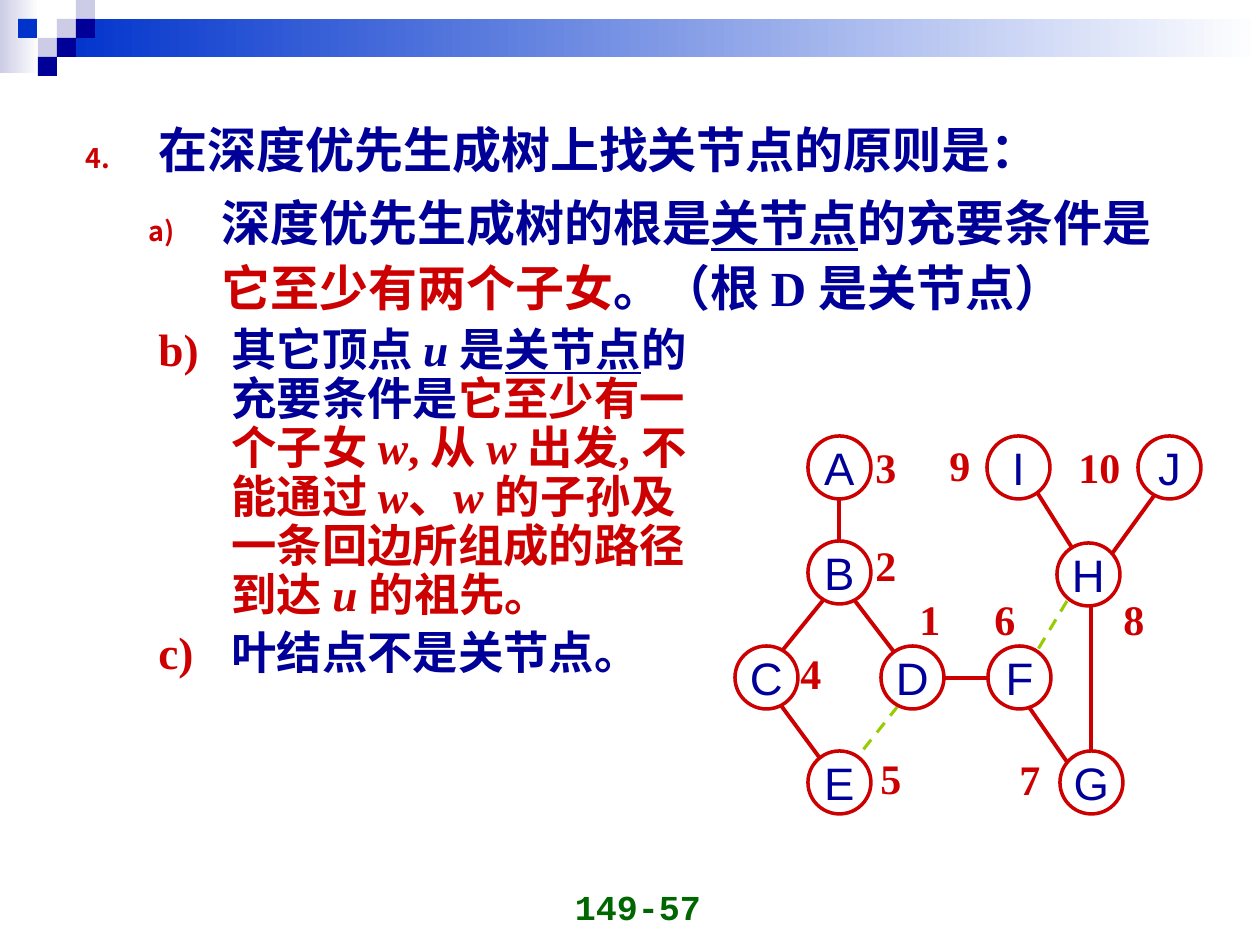
"""Build the slide on finding articulation points in a depth-first tree."""
from lxml import etree
from pptx import Presentation
from pptx.dml.color import RGBColor
from pptx.enum.dml import MSO_LINE
from pptx.enum.shapes import MSO_CONNECTOR, MSO_SHAPE
from pptx.enum.text import MSO_ANCHOR, MSO_AUTO_SIZE, PP_ALIGN
from pptx.oxml.ns import qn
from pptx.util import Pt

RECT, OVAL = MSO_SHAPE.RECTANGLE, MSO_SHAPE.OVAL
LINE, DASH = MSO_CONNECTOR.STRAIGHT, MSO_LINE.DASH
MID, LOW = MSO_ANCHOR.MIDDLE, MSO_ANCHOR.BOTTOM
FIXED, CENTER = MSO_AUTO_SIZE.NONE, PP_ALIGN.CENTER
PX = 914400 / 126


class Theme:
    """Colours and type styles."""
    navy = RGBColor.from_string("000099")
    blue = RGBColor.from_string("0033CC")
    pale = RGBColor.from_string("CCCCE6")
    white = RGBColor.from_string("FFFFFF")
    red = RGBColor.from_string("CC0000")
    lime = RGBColor.from_string("99CC00")
    green = RGBColor.from_string("006600")
    head = {"name": "Times New Roman", "size": Pt(28), "bold": True}
    item = {"name": "Times New Roman", "size": Pt(25.9), "bold": True}
    order = {"name": "Times New Roman", "size": Pt(24), "bold": True}
    node = {"name": "Arial", "size": Pt(26), "bold": False}
    page = {"name": "Courier New", "size": Pt(20), "bold": True}


def place(*nums):
    return [round(num * PX) for num in nums]


def write(par, form, *runs):
    for text, color, *more in runs:
        run = par.add_run()
        run.text = text
        look = {**form, **{name: True for name in more}}
        for name, value in look.items():
            setattr(run.font, name, value)
        run.font.color.rgb = color


deck = Presentation()
deck.slide_width, deck.slide_height = place(1260, 945)
slide = deck.slides.add_slide(deck.slide_layouts[1])
shapes = slide.shapes
title = shapes.title.element
title.getparent().remove(title)
body = slide.placeholders[1]
navy, red = Theme.navy, Theme.red

bands = [((0, 0, 39, 73), Theme.pale), ((57, 19, 1203, 38), Theme.blue)]
for area, color in bands:
    band = shapes.add_shape(RECT, *place(*area))
    band.shadow.inherit = False
    band.line.fill.background()
    band.fill.gradient()
    band.fill.gradient_angle = 0
    for stop, tint in zip(band.fill.gradient_stops, (color, Theme.white)):
        stop.color.rgb = tint

tiles = [
    (57, 19, Theme.pale), (76, 0, Theme.pale), (76, 19, navy),
    (38, 38, Theme.pale), (18, 19, Theme.blue), (57, 38, navy), (38, 57, navy),
]
for left, top, color in tiles:
    tile = shapes.add_shape(RECT, *place(left, top, 19, 19))
    tile.shadow.inherit = False
    tile.line.fill.background()
    tile.fill.solid()
    tile.fill.fore_color.rgb = color

page = shapes.add_textbox(*place(491, 871, 294, 63)).text_frame
page.word_wrap = True
page.vertical_anchor = LOW
page.paragraphs[0].alignment = CENTER
write(page.paragraphs[0], Theme.page, ("149-57", Theme.green))

body.left, body.top, body.width, body.height = place(73, 107, 1121, 331)
frame = body.text_frame
frame.auto_size = FIXED
heads = [
    (0, 73, {"type": "arabicPeriod", "startAt": "4"},
     [("在深度优先生成树上找关节点的原则是：", navy)]),
    (1, 136, {"type": "alphaLcParenR"},
     [("深度优先生成树的根是", navy), ("关节点", navy, "underline"),
      ("的充要条件是", navy), ("它至少有两个子女", red),
      ("。（根 D 是关节点）", navy)]),
]
for rank, (level, inset, count, runs) in enumerate(heads):
    par = frame.add_paragraph() if rank else frame.paragraphs[0]
    prop = par._p.get_or_add_pPr()
    prop.set("marL", str(place(inset)[0]))
    prop.set("indent", str(place(-73)[0]))
    tint = etree.SubElement(prop, qn("a:buClr"))
    etree.SubElement(tint, qn("a:srgbClr"), val=str(red))
    etree.SubElement(prop, qn("a:buSzPct"), val="55000")
    etree.SubElement(prop, qn("a:buAutoNum"), **count)
    par.level = level
    par.line_spacing = 1.1
    par.space_before = Pt(5.2 if rank else 0)
    write(par, Theme.head, *runs)

edges = [
    (1091, 593, 1091, 761), (944, 678, 987, 678), (1022, 697, 1081, 782),
    (1028, 478, 1081, 562), (760, 677, 822, 761), (849, 593, 917, 682),
    (1159, 489, 1106, 562), (829, 593, 769, 667), (839, 499, 839, 552),
]
backs = [(898, 706, 863, 750), (1067, 601, 1037, 651)]
kinds = [
    (edges, red, {"width": Pt(2.25)}),
    (backs, Theme.lime, {"width": Pt(1.75), "dash_style": DASH}),
]
for group, color, look in kinds:
    for ends in group:
        edge = shapes.add_connector(LINE, *place(*ends))
        edge.line.color.rgb = color
        for name, value in look.items():
            setattr(edge.line, name, value)
        etree.SubElement(edge.element.spPr, qn("a:effectLst"))

nodes = {
    "A": (808, 436), "B": (808, 541), "C": (735, 646), "D": (881, 646),
    "E": (808, 751), "F": (988, 646), "G": (1060, 751), "H": (1057, 543),
    "I": (987, 436), "J": (1138, 436),
}
for name, spot in nodes.items():
    node = shapes.add_shape(OVAL, *place(*spot, 63, 63))
    node.shadow.inherit = False
    node.fill.solid()
    node.fill.fore_color.rgb = Theme.white
    node.line.color.rgb = red
    node.line.width = Pt(2)
    label = node.text_frame
    fit = {"margin_left": 0, "margin_right": 0, "margin_top": 0,
           "margin_bottom": 0, "word_wrap": False, "vertical_anchor": MID}
    for key, value in fit.items():
        setattr(label, key, value)
    label.paragraphs[0].alignment = CENTER
    write(label.paragraphs[0], Theme.node, (name, navy))

visits = [
    (907, 587), (863, 533), (863, 435), (788, 641), (868, 746),
    (982, 587), (1007, 747), (1111, 587), (937, 433), (1066, 435),
]
for rank, spot in enumerate(visits, 1):
    width = 44 if rank < 10 else 74
    visit = shapes.add_textbox(*place(*spot, width, 63)).text_frame
    visit.word_wrap = True
    write(visit.paragraphs[0], Theme.order, (str(rank), red))

rules = shapes.add_textbox(*place(83, 321, 630, 450)).text_frame
rules.word_wrap = True
items = [
    [("b)\t", red), ("其它顶点 ", navy), ("u ", navy, "italic"), ("是", navy),
     ("关节点", navy, "underline"), ("的充要条件是", navy),
     ("它至少有一个子女 ", red), ("w", red, "italic"), (", 从 ", red),
     ("w ", red, "italic"), ("出发, 不能通过 ", red), ("w", red, "italic"),
     ("、", red), ("w ", red, "italic"),
     ("的子孙及一条回边所组成的路径到达 ", red), ("u ", red, "italic"),
     ("的祖先。", red)],
    [("c)\t", red), ("叶结点不是关节点。", navy)],
]
for rank, runs in enumerate(items):
    par = rules.add_paragraph() if rank else rules.paragraphs[0]
    prop = par._p.get_or_add_pPr()
    prop.set("marL", str(place(136)[0]))
    prop.set("indent", str(place(-73)[0]))
    par.level = 1
    par.line_spacing = 0.9
    par.space_before = Pt(5.2 if rank else 0)
    write(par, Theme.item, *runs)

deck.save("out.pptx")
